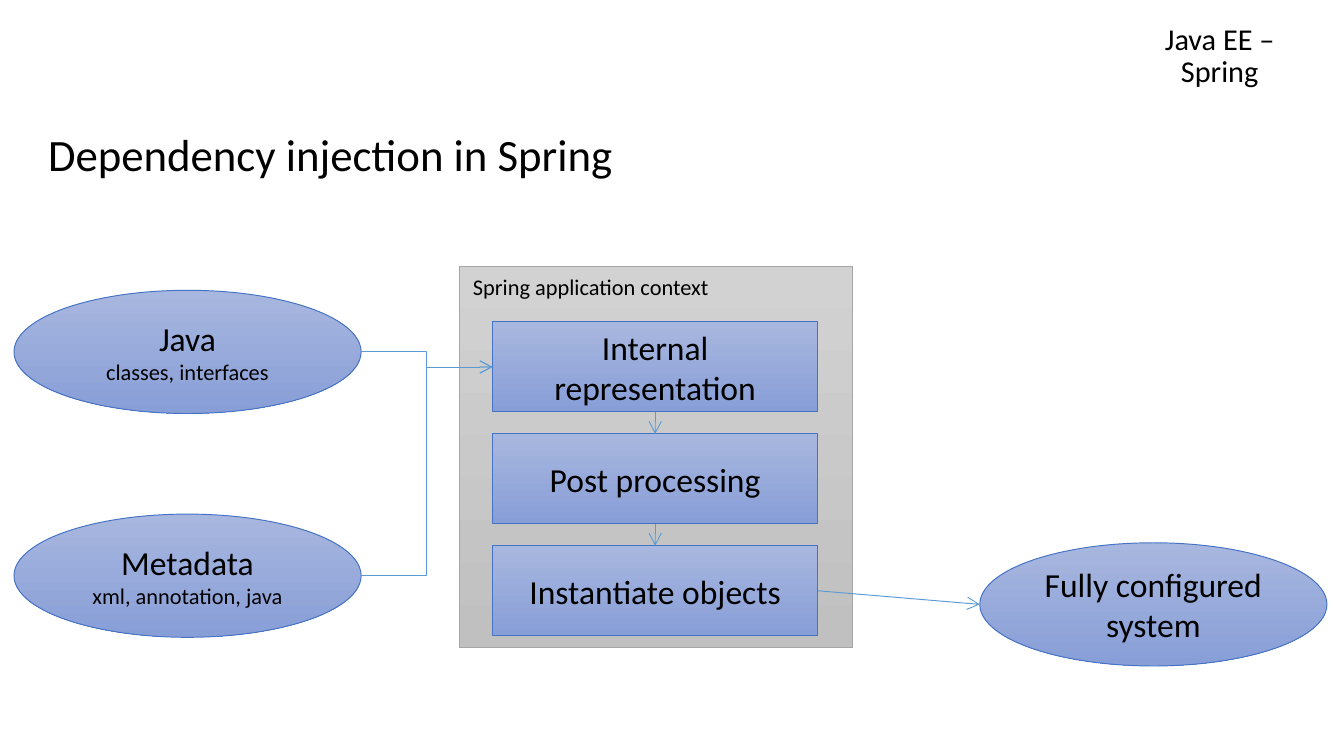
"""Build the slide on dependency injection in Spring."""
from dataclasses import dataclass

from lxml.etree import SubElement
from pptx import Presentation
from pptx.dml.color import RGBColor
from pptx.enum.shapes import MSO_CONNECTOR as CXN, MSO_SHAPE as SHAPE
from pptx.enum.text import MSO_ANCHOR as ANCHOR, PP_ALIGN as ALIGN
from pptx.oxml.ns import qn
from pptx.util import Inches, Pt

COLORS = {
    "text": "000000", "arrow": "5B9BD5",
    "blue_top": "A8B7DF", "blue_bottom": "889ED7", "blue_line": "4472C4",
    "gray_top": "D2D2D2", "gray_bottom": "C0C0C0", "gray_line": "A5A5A5",
}
FONT = "Calibri"
WIDTH, HEIGHT = Inches(10), Inches(10 * 9 / 16)
LINE = Pt(0.5)


@dataclass(frozen=True)
class Area:
    """Rectangle in percent of the slide's width and height."""
    x: float
    y: float
    w: float
    h: float

    @property
    def left(self) -> tuple[float, float]:
        return self.x, self.y + self.h / 2

    @property
    def right(self) -> tuple[float, float]:
        return self.x + self.w, self.y + self.h / 2

    @property
    def top(self) -> tuple[float, float]:
        return self.x + self.w / 2, self.y

    @property
    def bottom(self) -> tuple[float, float]:
        return self.x + self.w / 2, self.y + self.h

    def emu(self) -> tuple[int, int, int, int]:
        return to_emu(self.x, self.y) + to_emu(self.w, self.h)


@dataclass(frozen=True)
class Node:
    """Filled shape with lines of text."""
    area: Area
    kind: SHAPE
    lines: tuple[str, ...] = ()
    tone: str = "blue"


@dataclass(frozen=True)
class Label:
    """Free text."""
    area: Area
    text: str
    size: float
    align: ALIGN = ALIGN.LEFT
    anchor: ANCHOR = ANCHOR.TOP
    spacing: float = 1.0
    wrap: bool = True


def to_emu(x: float, y: float) -> tuple[int, int]:
    return round(WIDTH * x / 100), round(HEIGHT * y / 100)


def color(name: str) -> RGBColor:
    return RGBColor.from_string(COLORS[name])


def style(p, size: float, align: ALIGN) -> None:
    p.alignment = align
    for r in p.runs:
        r.font.name, r.font.size = FONT, Pt(size)
        r.font.color.rgb = color("text")


def draw_node(s, node: Node) -> None:
    sp = s.shapes.add_shape(node.kind, *node.area.emu())
    sp.shadow.inherit = False
    sp.fill.gradient()
    sp.fill.gradient_angle = 270
    for stop, end, pos in zip(sp.fill.gradient_stops, ("top", "bottom"), (0, 1)):
        stop.color.rgb = color(f"{node.tone}_{end}")
        stop.position = pos
    sp.line.color.rgb = color(f"{node.tone}_line")
    sp.line.width = LINE
    tf = sp.text_frame
    tf.word_wrap, tf.vertical_anchor = True, ANCHOR.MIDDLE
    tf.text = "\n".join(node.lines)
    for p, size in zip(tf.paragraphs, (18, 12)):
        style(p, size, ALIGN.CENTER)


def draw_label(s, label: Label) -> None:
    tf = s.shapes.add_textbox(*label.area.emu()).text_frame
    tf.word_wrap, tf.vertical_anchor = label.wrap, label.anchor
    p = tf.paragraphs[0]
    p.text = label.text
    p.line_spacing = label.spacing
    style(p, label.size, label.align)


def draw_arrow(s, start: tuple[float, float], end: tuple[float, float],
               kind: CXN = CXN.STRAIGHT) -> None:
    cx = s.shapes.add_connector(kind, *to_emu(*start), *to_emu(*end))
    cx.line.color.rgb = color("arrow")
    cx.line.width = LINE
    SubElement(cx.line._get_or_add_ln(), qn("a:tailEnd"), type="arrow")
    SubElement(cx._element.spPr, qn("a:effectLst"))


def oval(x: float, y: float, *lines: str) -> Node:
    return Node(Area(x, y, 25.83, 16.3), SHAPE.OVAL, lines)


def main() -> None:
    prs = Presentation()
    prs.slide_width, prs.slide_height = WIDTH, HEIGHT
    s = prs.slides.add_slide(prs.slide_layouts[6])

    labels = [
        Label(Area(82.3, 1.3, 16.9, 11.4), "Java EE –\vSpring", 16.2,
              ALIGN.CENTER, ANCHOR.BOTTOM, 0.9),
        Label(Area(2.6, 16.7, 94.3, 8.5), "Dependency injection in Spring",
              24, spacing=0.9),
        Label(Area(34.2, 35.2, 21.2, 5.3), "Spring application context",
              12, wrap=False),
    ]
    sources = [
        oval(1.04, 38.4, "Java", "classes, interfaces"),
        oval(1.04, 68, "Metadata", "xml, annotation, java"),
    ]
    result = oval(72.9, 71.8, "Fully configured system")
    context = Node(Area(34.2, 35.2, 29.2, 50.4), SHAPE.RECTANGLE, tone="gray")
    names = "Internal representation", "Post processing", "Instantiate objects"
    steps = [Node(Area(36.65, 42.6 + 14.8 * i, 24.2, 11.9), SHAPE.RECTANGLE, (name,))
             for i, name in enumerate(names)]

    for node in [context, *sources, *steps, result]:
        draw_node(s, node)
    for label in labels:
        draw_label(s, label)
    for source in sources:
        draw_arrow(s, source.area.right, steps[0].area.left, CXN.ELBOW)
    for upper, lower in zip(steps, steps[1:]):
        draw_arrow(s, upper.area.bottom, lower.area.top)
    draw_arrow(s, steps[-1].area.right, result.area.left)
    prs.save("out.pptx")


if __name__ == "__main__":
    main()
